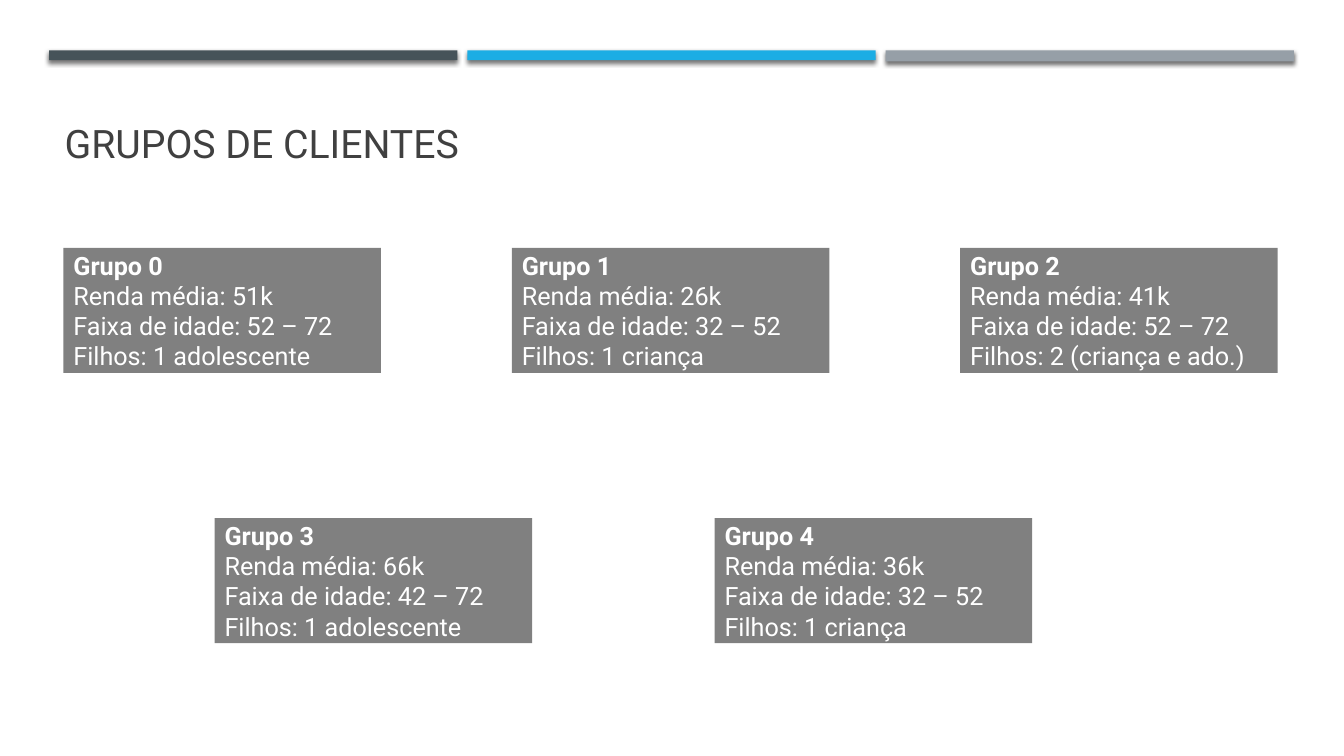
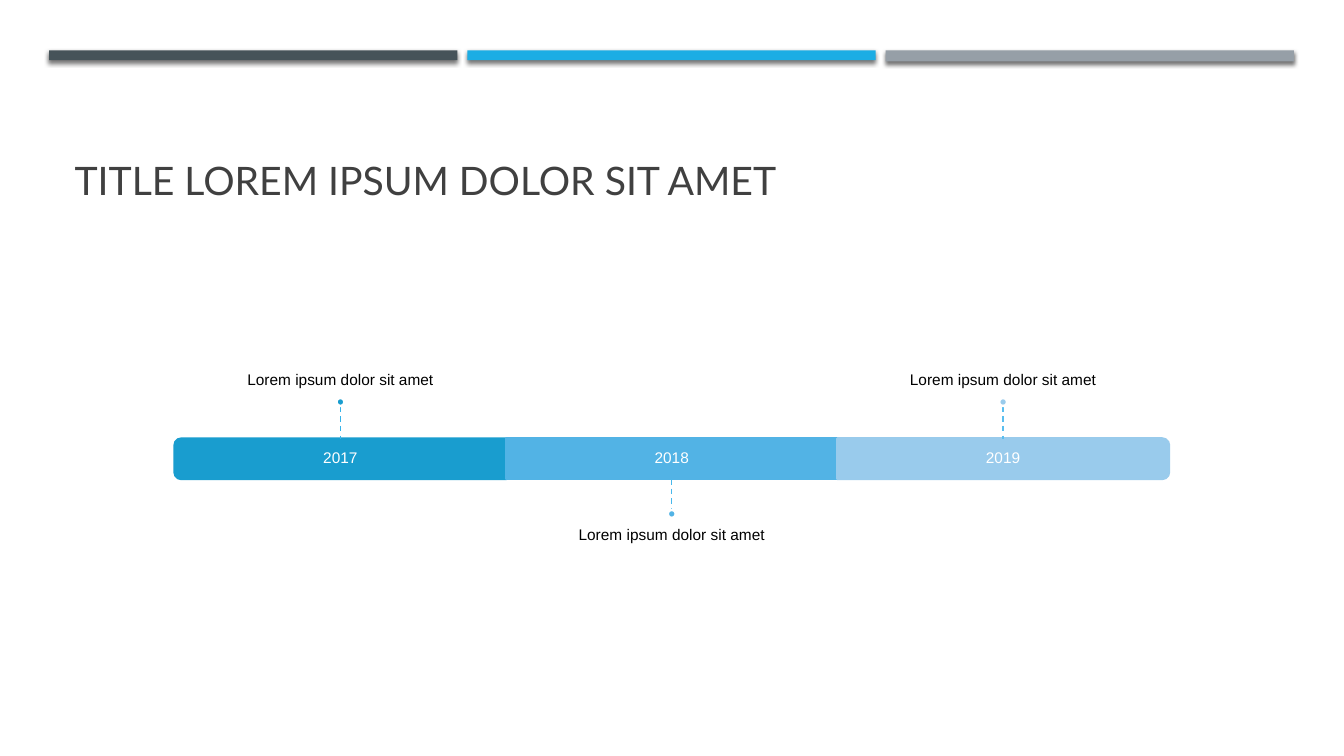
from lxml.etree import SubElement
from pptx import Presentation
from pptx.dml.color import RGBColor
from pptx.enum.dml import MSO_LINE
from pptx.enum.shapes import MSO_CONNECTOR, MSO_SHAPE as SHAPE
from pptx.enum.text import MSO_ANCHOR as ANCHOR, MSO_AUTO_SIZE, PP_ALIGN as ALIGN
from pptx.oxml.ns import qn
from pptx.util import Cm, Pt

WHITE = RGBColor(0xFF, 0xFF, 0xFF)
BLACK = RGBColor(0x00, 0x00, 0x00)
INK = RGBColor(0x40, 0x40, 0x40)
GRAY = RGBColor(0x80, 0x80, 0x80)
SLATE = RGBColor(0x46, 0x53, 0x59)
SKY = RGBColor(0x1C, 0xAD, 0xE4)
SILVER = RGBColor(0x96, 0x9F, 0xA7)
BLUE_DARK = RGBColor(0x19, 0x9D, 0xCF)
BLUE_MID = RGBColor(0x52, 0xB3, 0xE5)
BLUE_LIGHT = RGBColor(0x99, 0xCB, 0xEC)
STEM_DARK = RGBColor(0x36, 0xB3, 0xE9)
STEM_MID = RGBColor(0x48, 0xB8, 0xEC)
STEM_LIGHT = RGBColor(0x5A, 0xBE, 0xEF)


class Deck:
    bands = ((SLATE, 0.25), (SKY, 0.25), (SILVER, 0.28))
    title_box = (1.63, 1.96, 30.63, 3.3)
    card_inset = (0.25, 0.13, 0.25, 0.13)

    def __init__(self):
        self.prs = Presentation()
        self.prs.slide_width, self.prs.slide_height = Cm(33.87), Cm(19.05)
        self.layout = self.prs.slide_layouts.get_by_name("Title Only")
        self.slide = None

    def apply(self, obj, **fmt):
        for name, value in fmt.items():
            setattr(obj, name, value)

    def place(self, sp, box):
        self.apply(sp, **dict(zip(("left", "top", "width", "height"), map(Cm, box))))

    def add_slide(self, title, font, anchor, inset):
        first = self.slide is None
        self.slide = self.prs.slides.add_slide(self.layout)
        if first:
            self.add_bands()
        sp = self.slide.shapes.title
        self.place(sp, self.title_box)
        self.fill_text(sp, [title], 28, font, INK, anchor, inset)

    def add_bands(self):
        for i, (color, height) in enumerate(self.bands):
            sp = self.shape(SHAPE.RECTANGLE, (1.24 + 10.54 * i, 1.27, 10.29, height), color)
            effects = sp.element.spPr.find(qn("a:effectLst"))
            shadow = SubElement(effects, qn("a:outerShdw"), blurRad="38100",
                                dist="25400", dir="5400000", rotWithShape="0")
            black = SubElement(shadow, qn("a:srgbClr"), val="000000")
            SubElement(black, qn("a:alpha"), val="55000")
            self.layout.shapes.element.append(sp.element)

    def shape(self, kind, box, fill, line=None, rotation=0):
        sp = self.slide.shapes.add_shape(kind, *map(Cm, box))
        sp.shadow.inherit = False
        sp.rotation = rotation
        sp.fill.solid()
        sp.fill.fore_color.rgb = fill
        if line is None:
            sp.line.fill.background()
        else:
            sp.line.color.rgb = line
            sp.line.width = Pt(1.75)
        return sp

    def fill_text(self, sp, lines, size, font, color, anchor, inset,
                  align=ALIGN.LEFT, spacing=1.0, bold_first=False):
        tf = sp.text_frame
        margins = ("margin_left", "margin_top", "margin_right", "margin_bottom")
        self.apply(tf, auto_size=MSO_AUTO_SIZE.NONE, word_wrap=True,
                   vertical_anchor=anchor, **dict(zip(margins, map(Cm, inset))))
        for i, line in enumerate(lines):
            p = tf.add_paragraph() if i else tf.paragraphs[0]
            self.apply(p, alignment=align, line_spacing=spacing)
            r = p.add_run()
            r.text = line
            self.apply(r.font, name=font, size=Pt(size), bold=bold_first and i == 0)
            r.font.color.rgb = color

    def label(self, text, box, color, anchor, inset):
        sp = self.slide.shapes.add_textbox(*map(Cm, box))
        self.fill_text(sp, [text], 11, "Arial", color, anchor, inset, ALIGN.CENTER, 0.9)

    def card(self, x, y, lines):
        sp = self.shape(SHAPE.RECTANGLE, (x, y, 8, 3.15), GRAY)
        self.fill_text(sp, lines, 18, "Roboto", WHITE, ANCHOR.MIDDLE, self.card_inset,
                       bold_first=True)

    def stem(self, x, y1, y2, color):
        ln = self.slide.shapes.add_connector(MSO_CONNECTOR.STRAIGHT, *map(Cm, (x, y1, x, y2)))
        ln.line.color.rgb = color
        self.apply(ln.line, width=Pt(1), dash_style=MSO_LINE.DASH)
        SubElement(ln.element.spPr, qn("a:effectLst"))

    def milestone(self, cx, year, text, fill, stem, rotation, above):
        top, w, h = 11.05, 8.36, 1.02
        cy = top + h / 2
        if rotation:
            self.shape(SHAPE.ROUND_2_SAME_RECTANGLE, (cx - h / 2, cy - w / 2, h, w),
                       fill, fill, rotation)
        else:
            self.shape(SHAPE.RECTANGLE, (cx - w / 2, top, w, h), fill, fill)
        self.label(year, (cx - w / 2, top, w, h), WHITE, ANCHOR.MIDDLE, (0.23,) * 4)
        if above:
            label_y, anchor, inset = 6.5, ANCHOR.BOTTOM, (0, 0, 0, 0.23)
            y1, y2, dot_y = 10.24, top, 10.03
        else:
            label_y, anchor, inset = 13.06, ANCHOR.TOP, (0, 0.23, 0, 0)
            y1, y2, dot_y = top + h, 12.85, 12.85
        self.label(text, (cx - 6.96, label_y, 13.92, 3.53), BLACK, anchor, inset)
        self.stem(cx, y1, y2, stem)
        self.shape(SHAPE.OVAL, (cx - 0.1, dot_y, 0.2, 0.2), fill, WHITE)


deck = Deck()

deck.add_slide("GRUPOS DE CLIENTES", "Roboto", ANCHOR.MIDDLE, (0, 0, 0, 0))
groups = [
    ("51k", "52 – 72", "1 adolescente"),
    ("26k", "32 – 52", "1 criança"),
    ("41k", "52 – 72", "2 (criança e ado.)"),
    ("66k", "42 – 72", "1 adolescente"),
    ("36k", "32 – 52", "1 criança"),
]
spots = [(1.6 + 11.3 * i, 6.25) for i in range(3)]
spots += [(5.41 + 12.6 * i, 13.06) for i in range(2)]
for n, ((x, y), (income, ages, children)) in enumerate(zip(spots, groups)):
    deck.card(x, y, [f"Grupo {n}", f"Renda média: {income}",
                     f"Faixa de idade: {ages}", f"Filhos: {children}"])

deck.add_slide("TITLE LOREM IPSUM DOLOR SIT AMET", "Lato", ANCHOR.BOTTOM, deck.card_inset)
milestones = [
    ("2017", BLUE_DARK, STEM_DARK, 270, True),
    ("2018", BLUE_MID, STEM_MID, 0, False),
    ("2019", BLUE_LIGHT, STEM_LIGHT, 90, True),
]
for i, (year, *style) in enumerate(milestones):
    deck.milestone(8.58 + 8.35 * i, year, "Lorem ipsum dolor sit amet", *style)

deck.prs.save("out.pptx")
